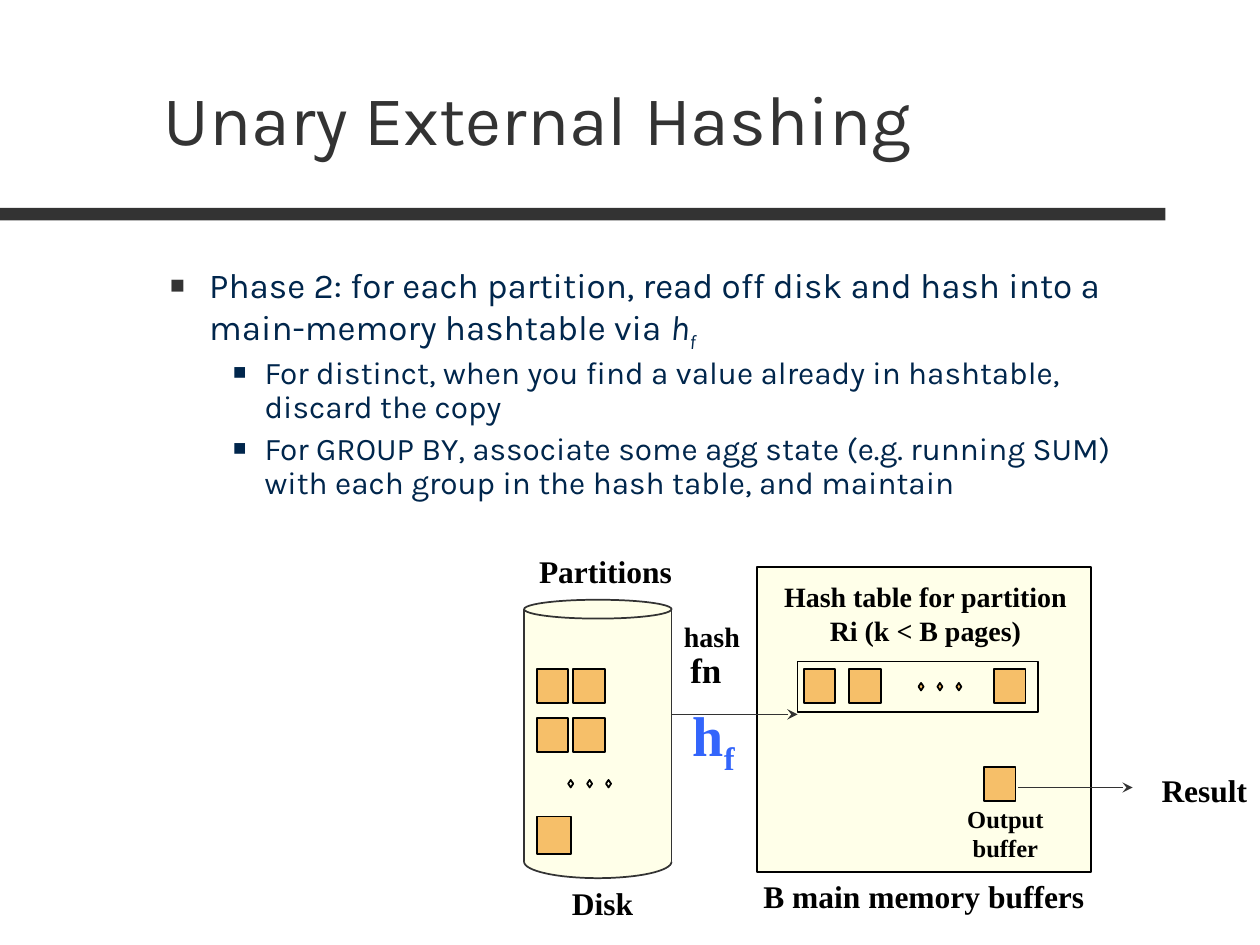
import math

from lxml import etree
from pptx import Presentation
from pptx.dml.color import RGBColor
from pptx.enum.shapes import MSO_CONNECTOR, MSO_SHAPE
from pptx.enum.text import MSO_ANCHOR, MSO_AUTO_SIZE, PP_ALIGN
from pptx.oxml.ns import qn
from pptx.util import Inches, Pt

RECT, OVAL, DIAMOND = MSO_SHAPE.RECTANGLE, MSO_SHAPE.OVAL, MSO_SHAPE.DIAMOND
STRAIGHT = MSO_CONNECTOR.STRAIGHT
LEFT, CENTER = PP_ALIGN.LEFT, PP_ALIGN.CENTER
MIDDLE, TOP = MSO_ANCHOR.MIDDLE, MSO_ANCHOR.TOP
FIXED = MSO_AUTO_SIZE.NONE

CHARCOAL = RGBColor(0x33, 0x33, 0x33)
NAVY = RGBColor(0x00, 0x26, 0x4C)
BLACK = RGBColor(0x00, 0x00, 0x00)
CREAM = RGBColor(0xFF, 0xFF, 0xE9)
ORANGE = RGBColor(0xF6, 0xBF, 0x69)
BLUE = RGBColor(0x33, 0x65, 0xFB)
SANS, SERIF = "Karla", "Times New Roman"
PAGE_W, PAGE_H = 0.25, 0.27


def place(part, left, top, width, height):
    part.left, part.top = Inches(left), Inches(top)
    part.width, part.height = Inches(width), Inches(height)


def add_run(paragraph, text, size, color, font, bold=False, italic=False, sub=False):
    run = paragraph.add_run()
    run.text = text
    run.font.size, run.font.name = Pt(size), font
    run.font.color.rgb = color
    run.font.bold, run.font.italic = bold, italic
    if sub:
        run._r.get_or_add_rPr().set("baseline", "-25000")


def paint(shape, fill, line):
    shape.shadow.inherit = False
    if fill is None:
        shape.fill.background()
    else:
        shape.fill.solid()
        shape.fill.fore_color.rgb = fill
    if line is None:
        shape.line.fill.background()
    else:
        shape.line.color.rgb = line
        shape.line.width = Pt(1)


def add_block(slide, kind, left, top, width, height, fill=None, line=BLACK):
    shape = slide.shapes.add_shape(
        kind, Inches(left), Inches(top), Inches(width), Inches(height))
    paint(shape, fill, line)


def add_page(slide, left, top, width=PAGE_W, height=PAGE_H):
    add_block(slide, RECT, left, top, width, height, ORANGE)


def add_ellipsis(slide, left, top, fill=None):
    for i in range(3):
        add_block(slide, DIAMOND, left + 0.15 * i, top, 0.04, 0.06, fill)


def add_line(slide, x1, y1, x2, y2, arrow=False):
    line = slide.shapes.add_connector(
        STRAIGHT, Inches(x1), Inches(y1), Inches(x2), Inches(y2))
    line.line.color.rgb = CHARCOAL
    line.line.width = Pt(1)
    if arrow:
        etree.SubElement(line.line._get_or_add_ln(), qn("a:tailEnd"), type="stealth")
    etree.SubElement(line._element.spPr, qn("a:effectLst"))


def add_label(slide, left, top, width, height, lines, size, align=LEFT, color=BLACK, sub=""):
    frame = slide.shapes.add_textbox(
        Inches(left), Inches(top), Inches(width), Inches(height)).text_frame
    frame.word_wrap = False
    for i, text in enumerate(lines):
        paragraph = frame.add_paragraph() if i else frame.paragraphs[0]
        paragraph.alignment = align
        add_run(paragraph, text, size, color, SERIF, bold=True)
    if sub:
        add_run(paragraph, sub, size, color, SERIF, bold=True, sub=True)


def add_heading(slide, left, top, width, height):
    # Rule under the title
    add_block(slide, RECT, 0, 1.65, 9.25, 0.1, CHARCOAL, None)
    title = slide.shapes.title
    place(title, left, top, width, height)
    frame = title.text_frame
    frame.auto_size, frame.vertical_anchor = FIXED, MIDDLE
    frame.paragraphs[0].alignment = LEFT
    add_run(frame.paragraphs[0], "Unary External Hashing", 40, CHARCOAL, SANS)


def format_bullet(paragraph, level, indent, hanging, color, before):
    paragraph.level = level
    paragraph.alignment = LEFT
    paragraph.line_spacing = 0.9
    paragraph.space_before = Pt(before)
    p_pr = paragraph._p.get_or_add_pPr()
    p_pr.set("marL", str(Inches(indent)))
    p_pr.set("indent", str(-Inches(hanging)))
    bullet_color = etree.SubElement(p_pr, qn("a:buClr"))
    etree.SubElement(bullet_color, qn("a:srgbClr"), val=str(color))
    etree.SubElement(p_pr, qn("a:buSzPct"), val="70000")
    etree.SubElement(p_pr, qn("a:buFont"), typeface="Arial")
    etree.SubElement(p_pr, qn("a:buChar"), char="■")


def add_phase_notes(slide, left, top, width, height):
    body = slide.placeholders[1]
    place(body, left, top, width, height)
    frame = body.text_frame
    frame.auto_size, frame.vertical_anchor = FIXED, TOP
    phase = frame.paragraphs[0]
    format_bullet(phase, 1, 0.81, 0.31, CHARCOAL, 0)
    add_run(phase, "Phase 2: for each partition, read off disk and hash into a "
            "main-memory hashtable via ", 20, NAVY, SANS)
    add_run(phase, "h", 20, NAVY, SANS, italic=True)
    add_run(phase, "f", 20, NAVY, SANS, italic=True, sub=True)
    for text in (
        "For distinct, when you find a value already in hashtable, discard the copy",
        "For GROUP BY, associate some agg state (e.g. running SUM) with each group "
        "in the hash table, and maintain",
    ):
        detail = frame.add_paragraph()
        format_bullet(detail, 2, 1.25, 0.25, NAVY, 4.5)
        add_run(detail, text, 18, NAVY, SANS)


def add_disk(slide, left, top, width, height):
    # Cylinder: body, lid, sides and rounded base
    shoulder, base = top + 0.07, top + height - 0.13
    add_block(slide, RECT, left, shoulder, width, base - shoulder, CREAM, None)
    add_block(slide, OVAL, left, top, width, 0.15, CREAM, CHARCOAL)
    for x in (left, left + width):
        add_line(slide, x, shoulder, x, base)
    angles = [math.pi * i / 32 for i in range(33)]
    arc = [(Inches(left + width * (1 + math.cos(a)) / 2),
            Inches(base + 0.13 * math.sin(a))) for a in angles]
    builder = slide.shapes.build_freeform(*arc[0])
    builder.add_line_segments(arc[1:], close=False)
    paint(builder.convert_to_shape(), CREAM, CHARCOAL)
    # Partition pages
    for row in range(2):
        for column in range(2):
            add_page(slide, left + 0.1 + 0.29 * column, top + 0.55 + 0.39 * row)
    add_ellipsis(slide, left + 0.35, top + 1.43)
    add_page(slide, left + 0.1, top + 1.72, 0.27, 0.3)
    add_label(slide, left + 0.02, top - 0.43, 1.26, 0.4, ["Partitions"], 18)
    add_label(slide, left + 0.28, top + 2.21, 0.69, 0.4, ["Disk"], 18)


def add_memory(slide, left, top, width, height):
    add_block(slide, RECT, left, top, width, height, CREAM)
    add_label(slide, left + 0.11, top + 0.05, 2.45, 0.63,
              ["Hash table for partition", "Ri (k < B pages)"], 16, CENTER)
    # Hash table pages
    for x in (0.37, 0.73, 1.88):
        add_page(slide, left + x, top + 0.81)
    add_ellipsis(slide, left + 1.28, top + 0.92, ORANGE)
    add_block(slide, RECT, left + 0.32, top + 0.75, 1.91, 0.4)
    # Output buffer
    add_page(slide, left + 1.8, top + 1.59)
    add_label(slide, left + 1.54, top + 1.83, 0.86, 0.57, ["Output", "buffer"], 14, CENTER)
    add_label(slide, left - 0.05, top + 2.41, 2.75, 0.4, ["B main memory buffers"], 18)


def add_flow(slide, left, top):
    # Hash function from disk to memory
    add_label(slide, left, top, 0.65, 0.37, ["hash"], 16)
    add_label(slide, left + 0.05, top + 0.23, 0.45, 0.43, ["fn"], 20)
    add_label(slide, left + 0.07, top + 0.64, 0.54, 0.71, ["h"], 32, color=BLUE, sub="f")
    add_line(slide, left, top + 0.8, left + 1, top + 0.8, arrow=True)
    # Result from the output buffer
    add_line(slide, left + 2.75, top + 1.38, left + 3.66, top + 1.38, arrow=True)
    add_label(slide, left + 3.79, top + 1.2, 0.88, 0.4, ["Result"], 18)


def main():
    prs = Presentation()
    prs.slide_width, prs.slide_height = Inches(10), Inches(7.5)
    slide = prs.slides.add_slide(prs.slide_layouts[1])
    add_heading(slide, 1.2, 0.31, 8.5, 1.25)
    add_phase_notes(slide, 0.75, 2.08, 8.5, 2.34)
    add_disk(slide, 4.16, 4.76, 1.17, 2.21)
    add_memory(slide, 6.01, 4.5, 2.65, 2.42)
    add_flow(slide, 5.33, 4.87)
    prs.save("out.pptx")


if __name__ == "__main__":
    main()
